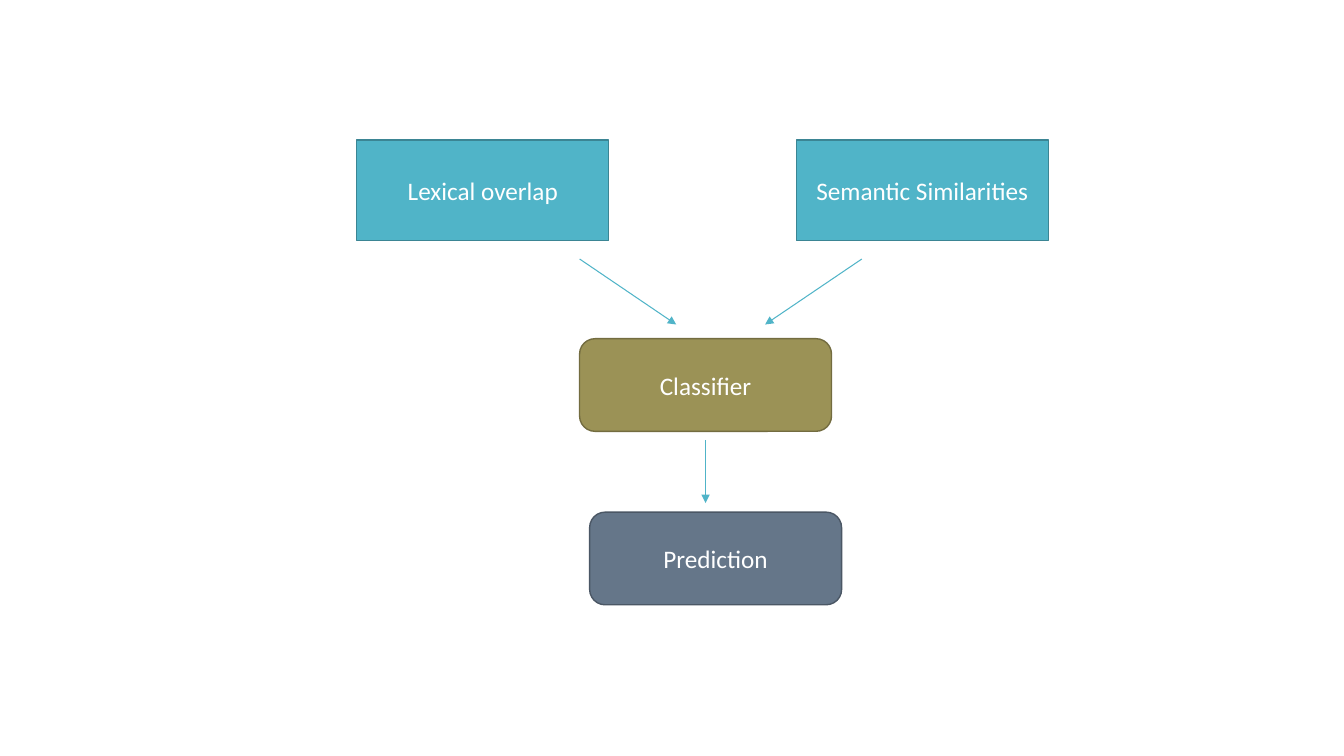
from dataclasses import dataclass

from lxml import etree
from pptx import Presentation
from pptx.dml.color import RGBColor
from pptx.enum import shapes, text
from pptx.oxml import ns
from pptx.util import Pt

COLORS = {
    "teal": "50B4C8", "teal edge": "3B8594",
    "olive": "9B9256", "olive edge": "736C40",
    "slate": "657689", "slate edge": "4B5765",
    "white": "FFFFFF",
}
FONT = "Calibri"
WIDTH = 180
RECT = shapes.MSO_SHAPE.RECTANGLE
ROUND = shapes.MSO_SHAPE.ROUNDED_RECTANGLE


@dataclass
class Box:
    label: str
    left: float
    top: float
    height: float
    color: str
    form: shapes.MSO_SHAPE


@dataclass
class Arrow:
    x1: float
    y1: float
    x2: float
    y2: float


def color(name: str) -> RGBColor:
    return RGBColor.from_string(COLORS[name])


def draw_box(slide, box: Box) -> None:
    shape = slide.shapes.add_shape(
        box.form, Pt(box.left), Pt(box.top), Pt(WIDTH), Pt(box.height))
    shape.shadow.inherit = False
    shape.fill.solid()
    shape.fill.fore_color.rgb = color(box.color)
    shape.line.color.rgb = color(box.color + " edge")
    shape.line.width = Pt(1)
    frame = shape.text_frame
    frame.word_wrap = True
    frame.vertical_anchor = text.MSO_ANCHOR.MIDDLE
    para = frame.paragraphs[0]
    para.alignment = text.PP_ALIGN.CENTER
    run = para.add_run()
    run.text = box.label
    run.font.name = FONT
    run.font.size = Pt(18)
    run.font.color.rgb = color("white")


def draw_arrow(slide, arrow: Arrow) -> None:
    line = slide.shapes.add_connector(
        shapes.MSO_CONNECTOR.STRAIGHT,
        Pt(arrow.x1), Pt(arrow.y1), Pt(arrow.x2), Pt(arrow.y2))
    line.line.color.rgb = color("teal")
    line.line.width = Pt(0.75)
    # Arrowhead, and no shadow
    edge = line.line._get_or_add_ln()
    etree.SubElement(edge, ns.qn("a:tailEnd"), type="triangle")
    etree.SubElement(line._element.spPr, ns.qn("a:effectLst"))


# Features, classifier and result
BOXES = [
    Box("Lexical overlap", 254.9, 100, 72, "teal", RECT),
    Box("Semantic Similarities", 568.8, 100, 72, "teal", RECT),
    Box("Classifier", 414, 241.9, 66.2, "olive", ROUND),
    Box("Prediction", 421.2, 365.8, 66.2, "slate", ROUND),
]

# Two arrows mirrored about the classifier's axis, one going down it
AXIS = 504
ARROWS = [Arrow(AXIS + side * far, 185, AXIS + side * near, 231.8)
          for side, far, near in ((-1, 90, 21), (1, 111.6, 42.5))]
ARROWS.append(Arrow(AXIS, 314.6, AXIS, 359.3))

deck = Presentation()
deck.slide_width, deck.slide_height = Pt(960), Pt(540)
page = deck.slides.add_slide(deck.slide_layouts[6])
for item in BOXES:
    draw_box(page, item)
for item in ARROWS:
    draw_arrow(page, item)
deck.save("out.pptx")
